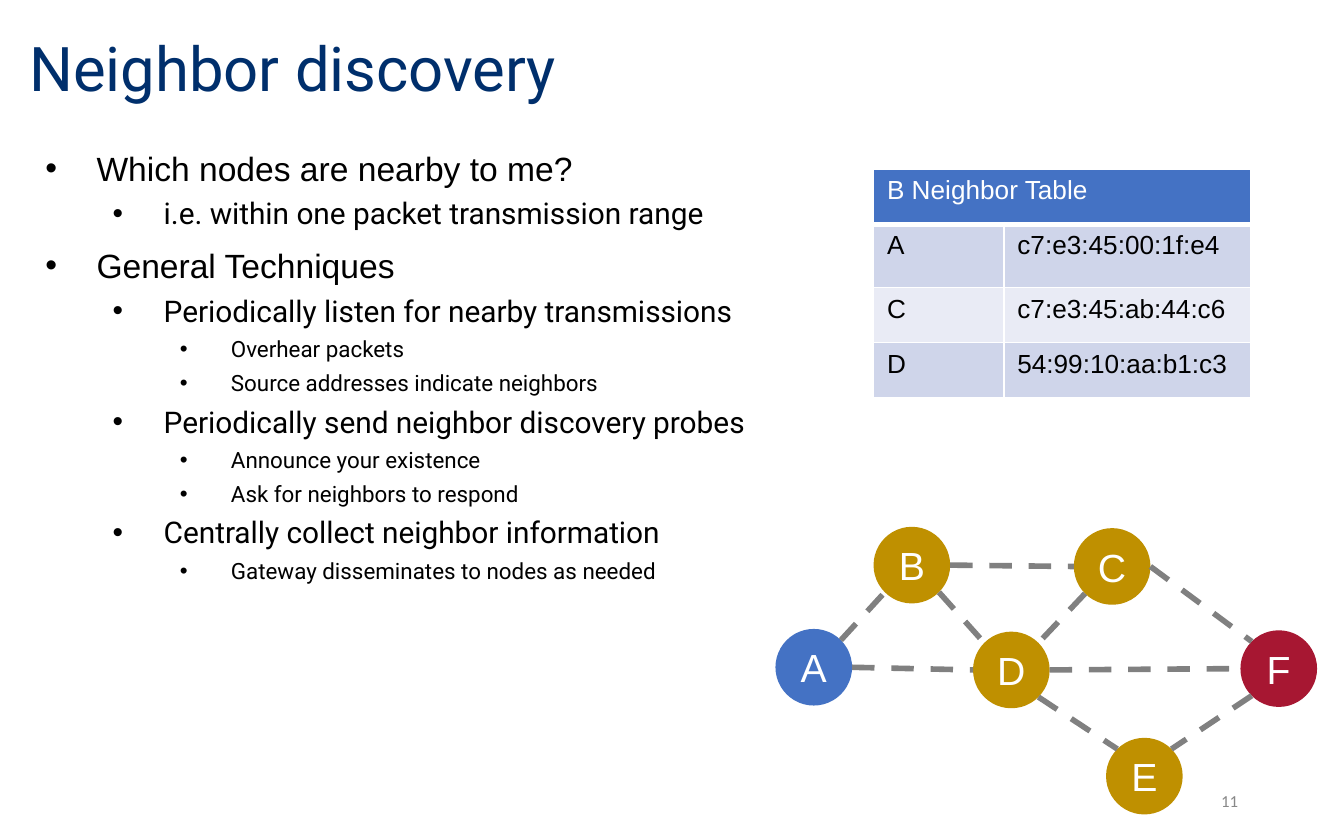
import pptx
import pptx.chart.data
import pptx.dml.color
import pptx.enum.dml
import pptx.enum.shapes
import pptx.enum.text
import pptx.oxml
import pptx.oxml.ns
import pptx.util

Inches, Pt = pptx.util.Inches, pptx.util.Pt
ALIGN, ANCHOR = pptx.enum.text.PP_ALIGN, pptx.enum.text.MSO_ANCHOR

WIDTH, HEIGHT = 10, 6.25
NAVY, BLUE, GOLD, RED = "002F6C", "4472C4", "BF9000", "A71732"
BLACK, WHITE, GRAY, PALE_GRAY = "000000", "FFFFFF", "808080", "888888"
BANDS = ("CFD5EA", "E9EBF5")

TITLE = "Neighbor discovery"
PAGE_NUMBER = "11"
OUTLINE = [
    (0, "Which nodes are nearby to me?"),
    (1, "i.e. within one packet transmission range"),
    (0, "General Techniques"),
    (1, "Periodically listen for nearby transmissions"),
    (2, "Overhear packets"),
    (2, "Source addresses indicate neighbors"),
    (1, "Periodically send neighbor discovery probes"),
    (2, "Announce your existence"),
    (2, "Ask for neighbors to respond"),
    (1, "Centrally collect neighbor information"),
    (2, "Gateway disseminates to nodes as needed"),
]
LEVELS = [("Arial", 18, 7.5), ("Roboto", 16, 3.8), ("Roboto", 12, 3.8)]  # font, size, space before
INDENT, HANGING = 0.5, 0.38

TABLE_TITLE = "B Neighbor Table"
NEIGHBORS = [("A", "c7:e3:45:00:1f:e4"), ("C", "c7:e3:45:ab:44:c6"), ("D", "54:99:10:aa:b1:c3")]
COLUMN_WIDTHS = (0.97, 1.84)
ROW_HEIGHTS = (0.41, 0.47, 0.41, 0.41)

NODE_SIZE = 0.57
NODES = {  # left, top, colour
    "A": (5.77, 4.68, BLUE),
    "B": (6.5, 3.92, GOLD),
    "C": (7.99, 3.93, GOLD),
    "D": (7.24, 4.7, GOLD),
    "E": (8.23, 5.49, GOLD),
    "F": (9.23, 4.69, RED),
}
LINKS = [  # node and compass side at each end
    ("A", "NE", "B", "SW"), ("B", "E", "C", "W"), ("B", "SE", "D", "NW"),
    ("C", "SW", "D", "NE"), ("C", "E", "F", "NW"), ("D", "E", "F", "W"),
    ("D", "SE", "E", "NW"), ("F", "SW", "E", "NE"), ("A", "E", "D", "W"),
]


def color(value):
    return pptx.dml.color.RGBColor.from_string(value)


def write(para, text, font="Arial", size=14, ink=BLACK, align=None):
    para.alignment = align
    span = para.add_run()
    span.text = text
    span.font.name, span.font.size, span.font.bold = font, Pt(size), False
    span.font.color.rgb = color(ink)


def add_box(page, left, top, width, height, anchor=ANCHOR.TOP):
    frame = page.shapes.add_textbox(*map(Inches, (left, top, width, height))).text_frame
    frame.word_wrap = True
    frame.vertical_anchor = anchor
    return frame


def add_child(parent, xml):
    namespaces = pptx.oxml.ns.nsdecls("a")
    parent.append(pptx.oxml.parse_xml(xml.replace("/>", f" {namespaces}/>", 1) if xml.count("<") == 1
                                      else xml.replace(">", f" {namespaces}>", 1)))


def add_outline(page):
    frame = add_box(page, 0.12, 1.05, 9.77, 4.58)
    for index, (level, text) in enumerate(OUTLINE):
        para = frame.paragraphs[0] if index == 0 else frame.add_paragraph()
        font, size, space = LEVELS[level]
        properties = para._p.get_or_add_pPr()
        properties.set("marL", str(Inches(INDENT * (level + 1))))
        properties.set("indent", str(-Inches(HANGING)))
        add_child(properties, f'<a:buClr><a:srgbClr val="{BLACK}"/></a:buClr>')
        add_child(properties, '<a:buFont typeface="Arial"/>')
        add_child(properties, '<a:buChar char="•"/>')
        para.space_before = Pt(space if index else 0)
        write(para, text, font, size)


def style_cell(cell, fill, bottom=1):
    properties = cell._tc.get_or_add_tcPr()
    for side, width in (("L", 1), ("R", 1), ("T", 1), ("B", bottom)):
        add_child(properties, f'<a:ln{side} w="{Pt(width)}"><a:solidFill>'
                              f'<a:srgbClr val="{WHITE}"/></a:solidFill></a:ln{side}>')
    cell.fill.solid()
    cell.fill.fore_color.rgb = color(fill)


def add_neighbor_table(page):
    size = (sum(COLUMN_WIDTHS), sum(ROW_HEIGHTS))
    table = page.shapes.add_table(len(ROW_HEIGHTS), len(COLUMN_WIDTHS),
                                  *map(Inches, (6.5, 1.26, *size))).table
    for column, width in zip(table.columns, COLUMN_WIDTHS):
        column.width = Inches(width)
    for row, height in zip(table.rows, ROW_HEIGHTS):
        row.height = Inches(height)
    for cell in table.rows[0].cells:
        style_cell(cell, BLUE, bottom=3)
    table.cell(0, 0).merge(table.cell(0, 1))
    write(table.cell(0, 0).text_frame.paragraphs[0], TABLE_TITLE, ink=WHITE)
    for index, values in enumerate(NEIGHBORS):
        for cell, text in zip(table.rows[index + 1].cells, values):
            style_cell(cell, BANDS[index % 2])
            write(cell.text_frame.paragraphs[0], text)


def add_node(page, name, left, top, fill):
    node = page.shapes.add_shape(pptx.enum.shapes.MSO_SHAPE.OVAL,
                                 *map(Inches, (left, top, NODE_SIZE, NODE_SIZE)))
    node.shadow.inherit = False
    node.fill.solid()
    node.fill.fore_color.rgb = color(fill)
    node.line.fill.background()
    frame = node.text_frame
    frame.margin_left = frame.margin_right = 0
    frame.vertical_anchor = ANCHOR.MIDDLE
    write(frame.paragraphs[0], name, size=21, ink=WHITE, align=ALIGN.CENTER)


def rim_point(name, side):
    """Point on a node's circle in a compass direction."""
    left, top, _ = NODES[name]
    across = ("E" in side) - ("W" in side)
    down = ("S" in side) - ("N" in side)
    reach = NODE_SIZE / 2 / (across ** 2 + down ** 2) ** 0.5
    return (Inches(left + NODE_SIZE / 2 + across * reach),
            Inches(top + NODE_SIZE / 2 + down * reach))


def add_link(page, start, start_side, end, end_side):
    link = page.shapes.add_connector(pptx.enum.shapes.MSO_CONNECTOR.STRAIGHT,
                                     *rim_point(start, start_side), *rim_point(end, end_side))
    link.line.color.rgb = color(GRAY)
    link.line.width = Pt(3)
    link.line.dash_style = pptx.enum.dml.MSO_LINE.DASH
    add_child(link._element.spPr, "<a:effectLst/>")


def main():
    deck = pptx.Presentation()
    deck.slide_width, deck.slide_height = Inches(WIDTH), Inches(HEIGHT)
    page = deck.slides.add_slide(deck.slide_layouts[6])

    title = add_box(page, 0.12, 0.1, 8.52, 0.86, ANCHOR.MIDDLE).paragraphs[0]
    title.line_spacing = 0.9
    write(title, TITLE, "Roboto", 33, NAVY)
    add_outline(page)
    number = add_box(page, 7.06, 5.79, 2.25, 0.33, ANCHOR.MIDDLE).paragraphs[0]
    write(number, PAGE_NUMBER, "Calibri", 9, PALE_GRAY, ALIGN.RIGHT)

    add_neighbor_table(page)
    for name, place in NODES.items():
        add_node(page, name, *place)
    for link in LINKS:
        add_link(page, *link)
    deck.save("out.pptx")


if __name__ == "__main__":
    main()
